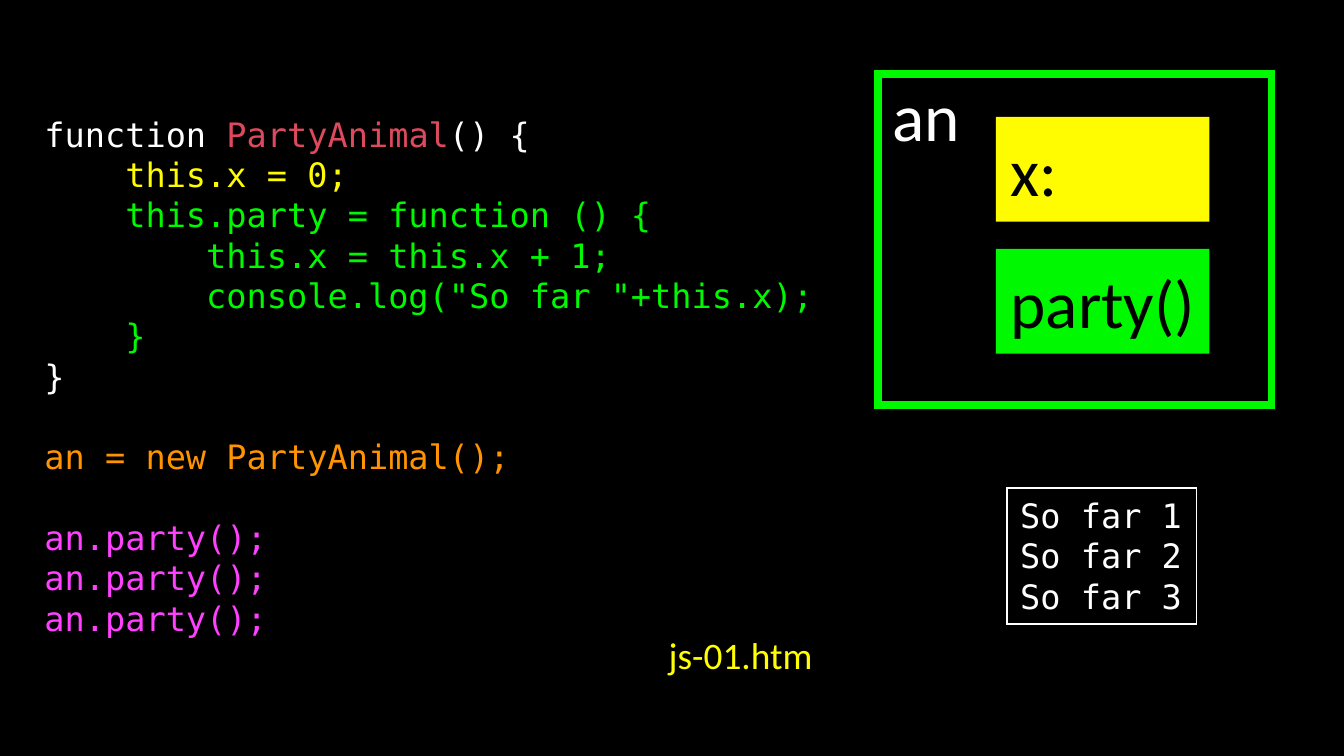
from pptx import Presentation
from pptx.dml.color import RGBColor
from pptx.enum import shapes, text
from pptx.oxml import ns
from pptx.util import Cm, Pt
from lxml import etree

WHITE, BLACK, YELLOW, GREEN = "FFFFFF", "000000", "FFFB00", "00F900"
RED, ORANGE, PINK = "DD495D", "FF9300", "FF40FF"
SANS, MONO = "Calibri", "DejaVu Sans Mono"

# Content: each line is a list of (text, colour) runs
CODE = [
    [("function ", WHITE), ("PartyAnimal", RED), ("() {", WHITE)],
    [("    this.x = 0;", YELLOW)],
    [("    this.party = function () {", GREEN)],
    [("        this.x = this.x + 1;", GREEN)],
    [('        console.log("So far "+this.x);', GREEN)],
    [("    }", GREEN)],
    [("}", WHITE)],
    [],
    [("an = new PartyAnimal();", ORANGE)],
    [],
] + [[("an.party();", PINK)]] * 3
OUTPUT = [[(f"So far {count}", WHITE)] for count in (1, 2, 3)]
MEMBERS = [("x:", YELLOW), ("party()", GREEN)]

# Left, right and vertical text margins in cm
LABEL_MARGINS = (0.28, 0, 0)


def colour(value):
    return RGBColor.from_string(value)


def write(shape, lines, font, size, margins, anchor=text.MSO_ANCHOR.MIDDLE,
          align=text.PP_ALIGN.LEFT, wrap=True, spacing=None):
    frame = shape.text_frame
    frame.word_wrap = wrap
    frame.vertical_anchor = anchor
    left, right, vertical = margins
    frame.margin_left, frame.margin_right = Cm(left), Cm(right)
    frame.margin_top = frame.margin_bottom = Cm(vertical)
    for index, line in enumerate(lines):
        paragraph = frame.paragraphs[0] if index == 0 else frame.add_paragraph()
        paragraph.alignment = align
        paragraph.line_spacing = spacing
        paragraph.font.name = font
        paragraph.font.size = Pt(size)
        for words, run_colour in line:
            run = paragraph.add_run()
            run.text = words
            run.font.name = font
            run.font.size = Pt(size)
            run.font.color.rgb = colour(run_colour)


def add_box(parent, left, top, width, height, fill=None, line=None, line_width=1):
    box = parent.add_shape(shapes.MSO_SHAPE.RECTANGLE,
                           Cm(left), Cm(top), Cm(width), Cm(height))
    box.shadow.inherit = False
    if fill:
        box.fill.solid()
        box.fill.fore_color.rgb = colour(fill)
    else:
        box.fill.background()
    if line:
        box.line.color.rgb = colour(line)
        box.line.width = Pt(line_width)
        # Square corners
        outline = box.element.spPr.find(ns.qn("a:ln"))
        etree.SubElement(outline, ns.qn("a:miter"), lim="800000")
    else:
        box.line.fill.background()
    return box


# Black slide
presentation = Presentation()
presentation.slide_width, presentation.slide_height = Cm(25.4), Cm(14.28)
slide = presentation.slides.add_slide(presentation.slide_layouts[6])
slide.background.fill.solid()
slide.background.fill.fore_color.rgb = colour(BLACK)

# Object diagram: the instance and its members
diagram = slide.shapes.add_group_shape().shapes
instance = add_box(diagram, 16.59, 1.4, 7.44, 6.25, line=GREEN, line_width=4)
write(instance, [[("an", WHITE)]], SANS, 36, LABEL_MARGINS, text.MSO_ANCHOR.TOP)
for row, (name, fill) in enumerate(MEMBERS):
    member = add_box(diagram, 18.82, 2.21 + 2.49 * row, 4.04, 1.98, fill=fill)
    write(member, [[(name, BLACK)]], SANS, 36, LABEL_MARGINS)

# Source code
code = slide.shapes.add_textbox(Cm(0.84), Cm(1.12), Cm(15.39), Cm(11.96))
write(code, CODE, MONO, 18, (0, 0, 0), spacing=Pt(21.6))

# File name
file_name = slide.shapes.add_textbox(Cm(12.5), Cm(11.84), Cm(3), Cm(1.04))
write(file_name, [[("js-01.htm", "FFFF00")]], SANS, 20, (0.08, 0.08, 0.08),
      align=text.PP_ALIGN.CENTER)

# Console output
console = add_box(slide.shapes, 19.03, 9.22, 3.58, 2.57, line=WHITE, line_width=0.75)
write(console, OUTPUT, MONO, 18, (0.25, 0.25, 0.13), text.MSO_ANCHOR.TOP,
      wrap=False, spacing=Pt(21.6))

presentation.save("out.pptx")
